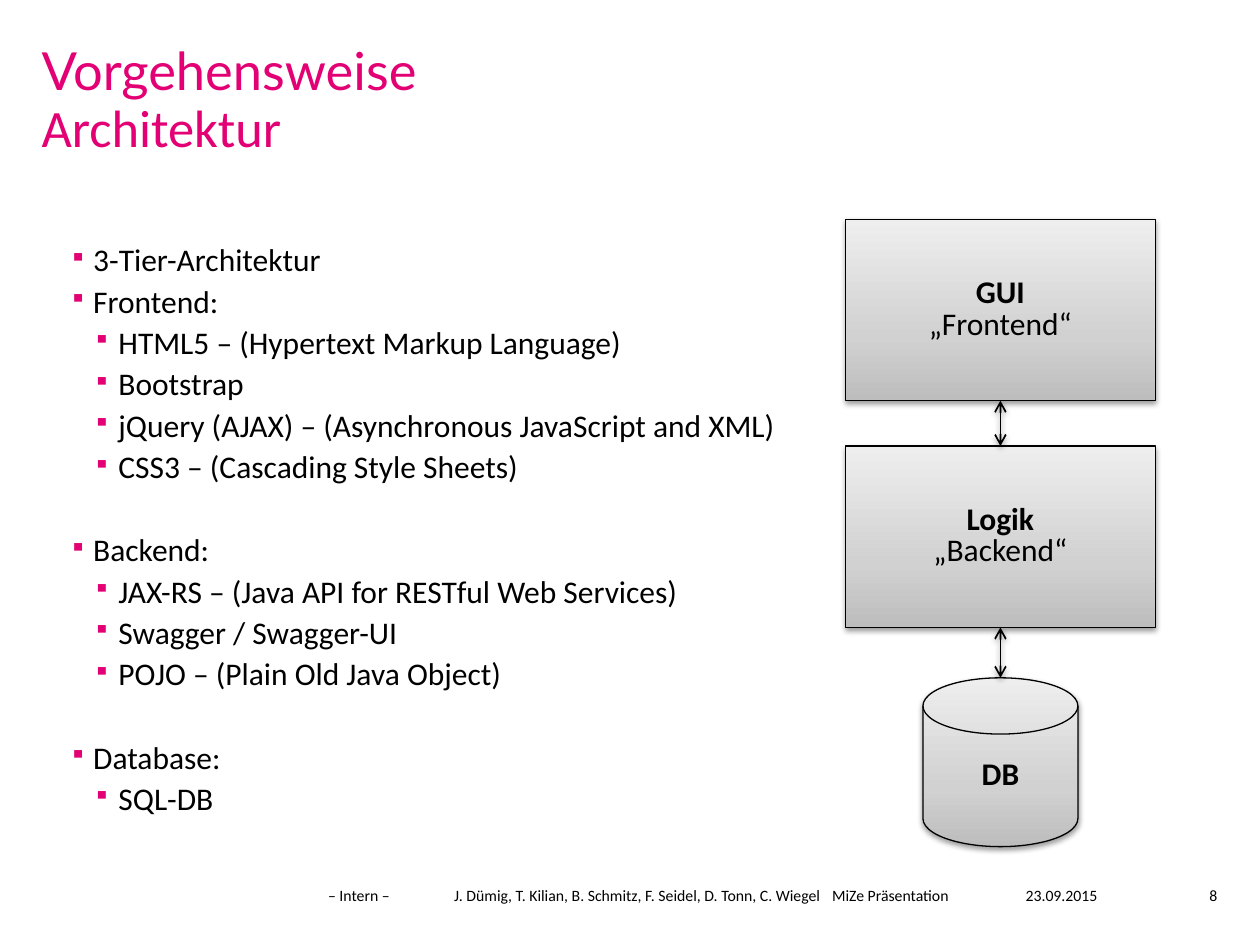
"""Builds the architecture slide: tier list on the left, tier diagram on the right."""
from lxml import etree
from pptx import Presentation
from pptx.dml.color import RGBColor
from pptx.enum.shapes import MSO_CONNECTOR, MSO_SHAPE
from pptx.enum.text import MSO_ANCHOR, PP_ALIGN
from pptx.oxml.ns import qn
from pptx.util import Inches, Pt

RECTANGLE, DISK = MSO_SHAPE.RECTANGLE, MSO_SHAPE.FLOWCHART_MAGNETIC_DISK
STRAIGHT = MSO_CONNECTOR.STRAIGHT
TOP, MIDDLE = MSO_ANCHOR.TOP, MSO_ANCHOR.MIDDLE
LEFT, CENTER, RIGHT = PP_ALIGN.LEFT, PP_ALIGN.CENTER, PP_ALIGN.RIGHT
SIDE_TOP, SIDE_BOTTOM = 0, 2

THEME = {
    "accent": "E20074",
    "ink": "000000",
    "gradient": [(0, "BDBDBD"), (35, "D1D1D1"), (100, "EEEEEE")],
    "heading": {"name": "Lato", "size": Pt(30)},
    "subheading": {"name": "Calibri", "size": Pt(30)},
    "body": {"name": "Calibri", "size": Pt(18), "bold": False},
    "strong": {"name": "Calibri", "size": Pt(18), "bold": True},
    "footer": {"name": "Calibri", "size": Pt(9)},
}
NAMESPACE = 'xmlns:a="http://schemas.openxmlformats.org/drawingml/2006/main"'
SHADOW = (
    f'<a:effectLst {NAMESPACE}><a:outerShdw blurRad="40000" dist="20000" dir="5400000" rotWithShape="0">'
    f'<a:srgbClr val="{THEME["ink"]}"><a:alpha val="38000"/></a:srgbClr></a:outerShdw></a:effectLst>'
)

deck = Presentation()
deck.slide_width, deck.slide_height = Inches(10), Inches(7.5)
column, row = deck.slide_width / 100, deck.slide_height / 100
slide = deck.slides.add_slide(deck.slide_layouts[6])


def write(paragraph, lines, color, layout):
    for key, value in layout.items():
        setattr(paragraph, key, value)
    for number, (wording, style) in enumerate(lines):
        if number:
            paragraph.add_line_break()
        run = paragraph.add_run()
        run.text = wording
        run.font.color.rgb = RGBColor.from_string(color)
        for key, value in style.items():
            setattr(run.font, key, value)


def add_text_area(left, top, width, height, anchor):
    frame = slide.shapes.add_textbox(
        int(left * column), int(top * row), int(width * column), int(height * row)
    ).text_frame
    settings = {"margin_left": 0, "margin_top": 0, "margin_right": 0, "margin_bottom": 0,
                "word_wrap": True, "vertical_anchor": anchor}
    for key, value in settings.items():
        setattr(frame, key, value)
    return frame


heading = add_text_area(3.3, 4.8, 92.9, 12.1, TOP)
write(heading.paragraphs[0],
      [("Vorgehensweise", THEME["heading"]), ("Architektur", THEME["subheading"])],
      THEME["accent"], {"line_spacing": 0.9, "alignment": LEFT})

topic_groups = [
    [(0, "3-Tier-Architektur"), (0, "Frontend:"), (1, "HTML5 – (Hypertext Markup Language)"),
     (1, "Bootstrap"), (1, "jQuery (AJAX) – (Asynchronous JavaScript and XML)"),
     (1, "CSS3 – (Cascading Style Sheets)")],
    [(0, "Backend:"), (1, "JAX-RS – (Java API for RESTful Web Services)"),
     (1, "Swagger / Swagger-UI"), (1, "POJO – (Plain Old Java Object)")],
    [(0, "Database:"), (1, "SQL-DB")],
]
indents = [(0.39, -0.19), (0.59, -0.2)]
topics = add_text_area(3.5, 25.87, 93, 62.4, TOP)
topic = topics.paragraphs[0]
for group_number, group in enumerate(topic_groups):
    for position, (depth, wording) in enumerate(group):
        if group_number or position:
            topic = topics.add_paragraph()
        gap = Pt(28.1) if group_number and not position else Pt(4.2)
        write(topic, [(wording, THEME["body"])], THEME["ink"],
              {"level": 2 + depth, "line_spacing": 0.9, "space_before": gap, "alignment": LEFT})
        properties = topic._p.get_or_add_pPr()
        for key, length in zip(("marL", "indent"), indents[depth]):
            properties.set(key, str(Inches(length)))
        bullet_color = etree.SubElement(properties, qn("a:buClr"))
        etree.SubElement(bullet_color, qn("a:srgbClr"), val=THEME["accent"])
        etree.SubElement(properties, qn("a:buSzPct"), val="75000")
        etree.SubElement(properties, qn("a:buChar"), char="▪")

credits = "– Intern –\t\tJ. Dümig, T. Kilian, B. Schmitz, F. Seidel, D. Tonn, C. Wiegel\tMiZe Präsentation "
footers = [
    (74.4, 19.7, CENTER, "23.09.2015", []),
    (93.4, 3.2, RIGHT, "8", []),
    (20.5, 60.6, CENTER, credits, [0.52, 1, 4]),
]
for left, width, alignment, wording, tab_stops in footers:
    footer = add_text_area(left, 93.73, width, 2, MIDDLE).paragraphs[0]
    write(footer, [(wording, THEME["footer"])], THEME["ink"], {"alignment": alignment})
    if tab_stops:
        tabs = etree.SubElement(footer._p.get_or_add_pPr(), qn("a:tabLst"))
        for stop in tab_stops:
            etree.SubElement(tabs, qn("a:tab"), pos=str(Inches(stop)), algn="l")

tier_left, tier_width, tier_height = 67.1, 24.6, 19.2
tier_top, tier_pitch = 23.2, 24
tier_specs = [
    (RECTANGLE, tier_left, tier_top, tier_width, tier_height, ["GUI", "„Frontend“"]),
    (RECTANGLE, tier_left, tier_top + tier_pitch, tier_width, tier_height, ["Logik", "„Backend“"]),
    (DISK, tier_left + tier_width / 4, 71.73, tier_width / 2, 17.87, ["DB"]),
]
tiers = []
for outline, left, top, width, height, wording in tier_specs:
    tier = slide.shapes.add_shape(
        outline, int(left * column), int(top * row), int(width * column), int(height * row))
    tier.line.color.rgb = RGBColor.from_string(THEME["ink"])
    tier.line.width = Pt(0.75)
    tier.fill.gradient()
    tier.fill.gradient_angle = 90
    stops = tier._element.spPr.find(".//" + qn("a:gsLst"))
    for stop in list(stops):
        stops.remove(stop)
    for share, color in THEME["gradient"]:
        stop = etree.SubElement(stops, qn("a:gs"), pos=str(share * 1000))
        etree.SubElement(stop, qn("a:srgbClr"), val=color)
    tier._element.spPr.append(etree.fromstring(SHADOW))
    tier.text_frame.word_wrap = True
    tier.text_frame.vertical_anchor = MIDDLE
    write(tier.text_frame.paragraphs[0], list(zip(wording, (THEME["strong"], THEME["body"]))),
          THEME["ink"], {"alignment": CENTER, "line_spacing": Pt(18)})
    tiers.append(tier)

axis = int((tier_left + tier_width / 2) * column)
for upper, lower in zip(tiers, tiers[1:]):
    link = slide.shapes.add_connector(STRAIGHT, axis, upper.top + upper.height, axis, lower.top)
    link.begin_connect(upper, SIDE_BOTTOM)
    if lower.auto_shape_type == RECTANGLE:
        link.end_connect(lower, SIDE_TOP)
    link.line.color.rgb = RGBColor.from_string(THEME["ink"])
    link.line.width = Pt(1)
    for end in ("a:headEnd", "a:tailEnd"):
        etree.SubElement(link.line._get_or_add_ln(), qn(end), type="arrow")
    link._element.spPr.append(etree.fromstring(SHADOW))

deck.save("out.pptx")
